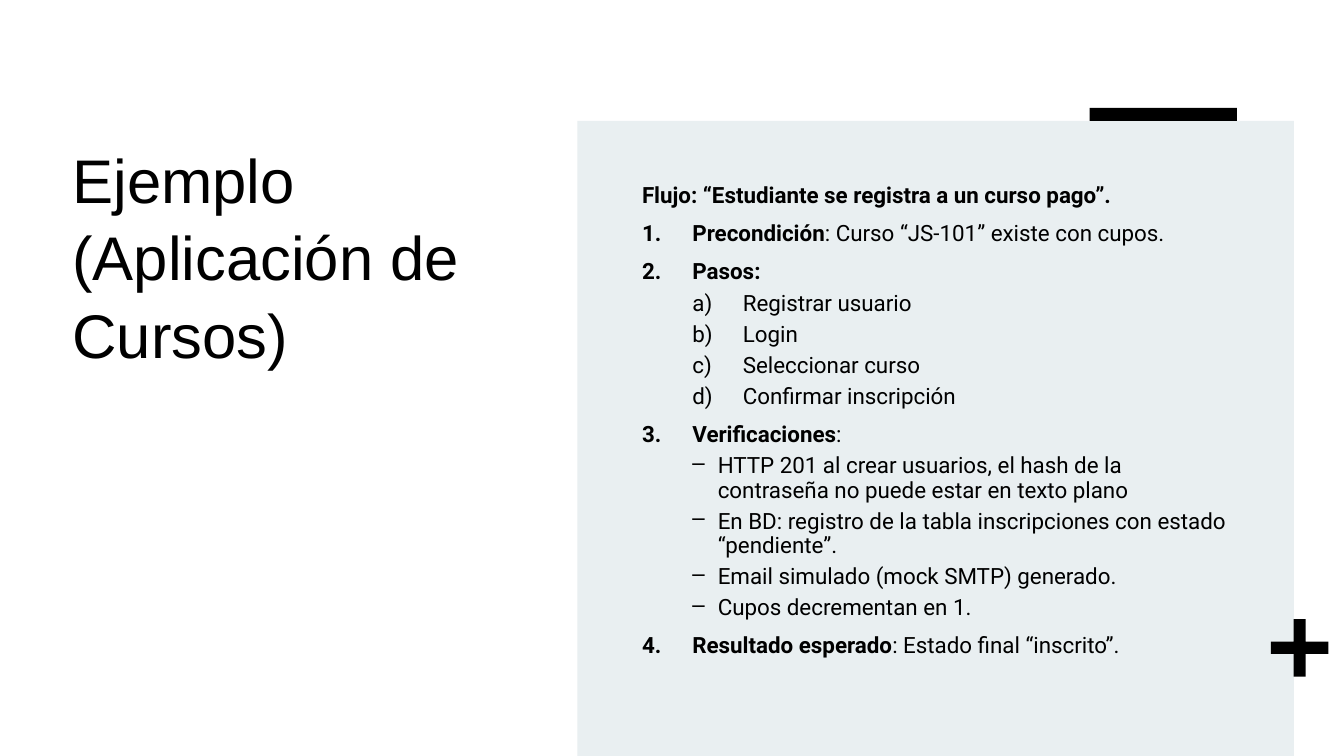
import pptx
import pptx.util
import pptx.dml.color
import pptx.enum.shapes
import pptx.enum.text
from lxml import etree

Cm, Pt = pptx.util.Cm, pptx.util.Pt
SHAPE = pptx.enum.shapes.MSO_SHAPE
TOP = pptx.enum.text.MSO_ANCHOR.TOP

TITLE = "Ejemplo (Aplicación de Cursos)"
# kind of line, bold part, plain part
LINES = [
    ("head", "Flujo: “Estudiante se registra a un curso pago”.", ""),
    ("item", "Precondición", ": Curso “JS-101” existe con cupos."),
    ("item", "Pasos:", ""),
    ("step", "", "Registrar usuario"),
    ("step", "", "Login"),
    ("step", "", "Seleccionar curso"),
    ("step", "", "Confirmar inscripción"),
    ("item", "Verificaciones", ":"),
    ("dash", "", "HTTP 201 al crear usuarios, el hash de la contraseña "
                 "no puede estar en texto plano"),
    ("dash", "", "En BD: registro de la tabla inscripciones con estado "
                 "“pendiente”."),
    ("dash", "", "Email simulado (mock SMTP) generado."),
    ("dash", "", "Cupos decrementan en 1."),
    ("item", "Resultado esperado", ": Estado final “inscrito”."),
]
# level, left margin (cm), hanging indent (cm), space before (pt), bullet
KINDS = {
    "head": (0, 0, 0, 10, ("buNone", {})),
    "item": (0, 1.27, 1.27, 10, ("buAutoNum", {"type": "arabicPeriod"})),
    "step": (1, 2.54, 1.27, 5, ("buAutoNum", {"type": "alphaLcParenR"})),
    "dash": (1, 1.91, 0.64, 5, ("buChar", {"char": "–"})),
}
# preset, fill, left, top, width, height (cm)
SHAPES = [
    (SHAPE.RECTANGLE, "E9EFF1", 14.55, 3.05, 18.06, 16),
    (SHAPE.CROSS, "000000", 32.03, 15.6, 1.45, 1.45),
    (SHAPE.RECTANGLE, "000000", 27.46, 2.72, 3.71, 0.33),
]


def rgb(code):
    return pptx.dml.color.RGBColor.from_string(code)


def style(par, name, size, space):
    par.line_spacing = space
    par.font.name = name
    par.font.size = Pt(size)
    par.font.color.rgb = rgb("000000")


def indent(par, left, hang, bullet):
    """Set the margins and the bullet of a paragraph."""
    props = par._p.get_or_add_pPr()
    props.set("marL", str(Cm(left)))
    props.set("indent", str(-Cm(hang)))
    tag, attrs = bullet
    etree.SubElement(props, pptx.oxml.ns.qn("a:" + tag), attrs)


def main():
    deck = pptx.Presentation()
    deck.slide_width, deck.slide_height = Cm(33.87), Cm(19.05)
    slide = deck.slides.add_slide(deck.slide_layouts[5])

    for kind, fill, *box in SHAPES:
        shape = slide.shapes.add_shape(kind, *map(Cm, box))
        shape.shadow.inherit = False
        shape.fill.solid()
        shape.fill.fore_color.rgb = rgb(fill)
        shape.line.fill.background()
        if kind == SHAPE.CROSS:
            shape.adjustments[0] = 0.395

    title = slide.shapes.title
    title.left, title.top = Cm(1.57), Cm(3.35)
    title.width, title.height = Cm(11.43), Cm(12.98)
    frame = title.text_frame
    frame.text = TITLE
    frame.word_wrap = True
    frame.vertical_anchor = TOP
    par = frame.paragraphs[0]
    par.alignment = pptx.enum.text.PP_ALIGN.LEFT
    style(par, "Arial", 44, 1.05)

    body = slide.shapes.add_textbox(Cm(15.93), Cm(4.52), Cm(15.24), Cm(13.03))
    frame = body.text_frame
    frame.word_wrap = True
    frame.vertical_anchor = TOP
    for i, (kind, bold, plain) in enumerate(LINES):
        par = frame.add_paragraph() if i else frame.paragraphs[0]
        level, left, hang, before, bullet = KINDS[kind]
        par.level = level
        indent(par, left, hang, bullet)
        par.space_before = Pt(before if i else 0)
        style(par, "Roboto", 16, 0.9)
        for text, heavy in ((bold, True), (plain, False)):
            if text:
                run = par.add_run()
                run.text = text
                run.font.bold = heavy

    deck.save("out.pptx")


if __name__ == "__main__":
    main()
